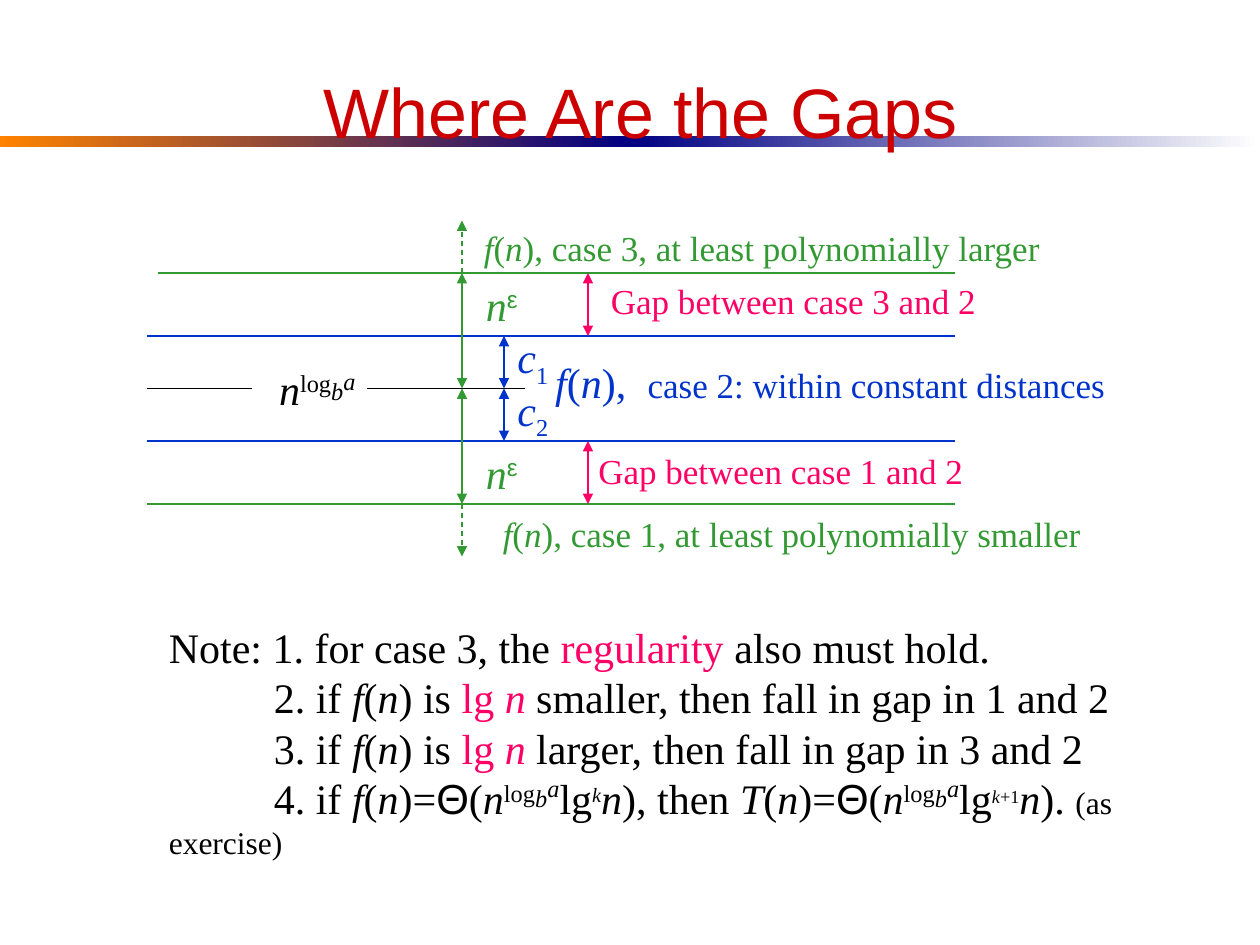
from lxml.etree import SubElement
from pptx import Presentation
from pptx.dml.color import RGBColor
from pptx.enum.dml import MSO_LINE
from pptx.enum.shapes import MSO_CONNECTOR, MSO_SHAPE
from pptx.enum.text import MSO_ANCHOR, PP_ALIGN
from pptx.oxml.ns import qn
from pptx.util import Inches, Pt

BLACK, RED, BLUE, GREEN, PINK = "000000", "CC0000", "0033CC", "339933", "FF0066"
NAVY, ORANGE, WHITE = "000082", "FF8200", "FFFFFF"
SERIF, SANS = "Times New Roman", "Arial"
IT = {"italic": True}
HOT = {"color": PINK}


def rgb(value):
    """Turn a hex string into a colour."""
    return RGBColor.from_string(value)


def cell(n):
    """Turn a count of grid cells, twelve to the inch, into a length."""
    return Inches(n / 12)


def lifted(base, size=24, italic=True):
    """Give the format of a run shifted by a percentage of its size."""
    return {"base": base, "size": size, "italic": italic}


def f_of_n(tail):
    """Give the runs of f(n) followed by plain text."""
    return [("f", IT), ("(", {}), ("n", IT), (")" + tail, {})]


def n_log(base):
    """Give the runs of n to the power of log b of a."""
    return [("n", IT), ("log", lifted(30, italic=False)),
            ("b", lifted(base)), ("a", lifted(base + 24 if base < 16 else 40))]


def theta(base):
    """Give the runs that open a Theta bound up to lg."""
    return [("Θ", {"name": SANS}), ("(", {}), *n_log(base), ("lg", {})]


class Deck:
    """Hold the style and the current slide."""

    def __init__(self):
        """Start a presentation with one title-only slide."""
        self.prs = Presentation()
        self.prs.slide_width, self.prs.slide_height = cell(120), cell(90)
        self.s = self.prs.slides.add_slide(self.prs.slide_layouts[5])

    def runs(self, p, runs, **style):
        """Add formatted runs to a paragraph."""
        for text, changes in runs:
            r = p.add_run()
            r.text = text
            form = {"name": SERIF, "size": 24, "color": BLACK, "italic": False, **style, **changes}
            r.font.color.rgb = rgb(form.pop("color"))
            base = form.pop("base", 0)
            form["size"] = Pt(form["size"])
            for key, value in form.items():
                setattr(r.font, key, value)
            if base:
                r.font._element.set("baseline", str(base * 1000))

    def title(self, text, x, y, w, h):
        """Place and fill the title."""
        sp = self.s.shapes.title
        place = {"left": x, "top": y, "width": w, "height": h}
        for key, value in place.items():
            setattr(sp, key, cell(value))
        tf = sp.text_frame
        tf.vertical_anchor = MSO_ANCHOR.MIDDLE
        p = tf.paragraphs[0]
        p.alignment = PP_ALIGN.CENTER
        self.runs(p, [(text, {})], name=SANS, size=40, color=RED)

    def bar(self, x, y, w, h, *colors):
        """Draw a horizontal gradient bar behind everything else."""
        sp = self.s.shapes.add_shape(MSO_SHAPE.RECTANGLE, cell(x), cell(y), cell(w), cell(h))
        sp.shadow.inherit = False
        sp.line.fill.background()
        sp.fill.gradient()
        sp.fill.gradient_angle = 0
        for stop, color in zip(sp.fill.gradient_stops, colors):
            stop.color.rgb = rgb(color)
        self.s.shapes._spTree.insert(2, sp._element)

    def line(self, x1, y1, x2, y2, color, ends=(), dash=None):
        """Draw a thin line with optional arrowheads."""
        sp = self.s.shapes.add_connector(
            MSO_CONNECTOR.STRAIGHT, cell(x1), cell(y1), cell(x2), cell(y2))
        sp.line.color.rgb = rgb(color)
        sp.line.width = Pt(0.75)
        if dash:
            sp.line.dash_style = dash
        for end in ends:
            SubElement(sp.line._get_or_add_ln(), qn(f"a:{end}"), type="triangle")
        SubElement(sp._element.spPr, qn("a:effectLst"))

    def text(self, x, y, w, h, paragraphs, wrap=False, indent=0, tab=None, **style):
        """Add a text box; later paragraphs take the first-line indent."""
        sp = self.s.shapes.add_textbox(cell(x), cell(y), cell(w), cell(h))
        tf = sp.text_frame
        tf.word_wrap = wrap
        for i, runs in enumerate(paragraphs):
            p = tf.paragraphs[0] if i == 0 else tf.add_paragraph()
            pPr = p._p.get_or_add_pPr()
            if i and indent:
                pPr.set("marL", "0")
                pPr.set("indent", str(cell(indent)))
            if tab:
                tabs = SubElement(pPr, qn("a:tabLst"))
                SubElement(tabs, qn("a:tab"), pos=str(cell(tab)), algn="l")
            self.runs(p, runs, **style)


def main():
    """Build the slide."""
    deck = Deck()
    both, tail = ("headEnd", "tailEnd"), ("tailEnd",)
    top, upper, middle, lower, bottom = 26, 32, 37, 42, 48
    right, axis, near, gap = 91, 44, 48, 56

    deck.bar(0, 13, 60, 1, ORANGE, NAVY)
    deck.bar(60, 13, 60, 1, NAVY, WHITE)
    deck.title("Where Are the Gaps", 10, 3, 102, 15)

    for x1, x2, y, color in [(15, right, top, GREEN), (14, right, upper, BLUE),
                             (14, 24, middle, BLACK), (35, 50, middle, BLACK),
                             (14, right, lower, BLUE), (14, right, bottom, GREEN)]:
        deck.line(x1, y, x2, y, color)
    for x, y1, y2, color in [(axis, top, middle, GREEN), (axis, middle, bottom, GREEN),
                             (near, upper, middle, BLUE), (near, middle, lower, BLUE),
                             (gap, top, upper, PINK), (gap, lower, bottom, PINK)]:
        deck.line(x, y1, x, y2, color, both)
    for y1, y2 in [(top, top - 5), (bottom, bottom + 5)]:
        deck.line(axis, y1, axis, y2, GREEN, tail, MSO_LINE.DASH)

    deck.text(25.4, 34, 9.7, 6, [n_log(12)])
    for y in (top, lower):
        deck.text(45.1, y, 5.4, 6, [[("n", IT), ("ε", {"name": SANS, "base": 30})]],
                  wrap=True, color=GREEN)
    for y, digit in [(31, "1"), (36, "2")]:
        deck.text(48.1, y, 5.3, 6.7, [[("c", IT), (digit, {"base": -25})]], color=BLUE)
    case_2 = f_of_n(",\t") + [("case 2: within constant distances", {"size": 20})]
    deck.text(51.7, 33.4, 56, 6, [case_2], wrap=True, tab=8.8, color=BLUE)
    for x, y, w, case, size in [(44.9, 21, 55.4, 3, "larger"), (46.7, 48.2, 57.5, 1, "smaller")]:
        deck.text(x, y, w, 5.3, [f_of_n(f", case {case}, at least polynomially {size}")],
                  size=20, color=GREEN)
    for x, y, case in [(57, 26, 3), (55.8, 42.2, 1)]:
        deck.text(x, y, 37.2, 5.3, [[(f"Gap between case {case} and 2", {})]],
                  size=20, color=PINK)

    notes = [[("Note: 1. for case 3, the ", {}), ("regularity ", HOT), ("also must hold.", {})]]
    for number, size, case in [(2, "smaller", 1), (3, "larger", 3)]:
        notes.append([(f"{number}. if ", {}), *f_of_n(" is "), ("lg ", HOT), ("n", {**IT, **HOT}),
                      (f" {size}, then fall in gap in {case} and 2", {})])
    notes.append([("4. if ", {}), *f_of_n("="), *theta(16), ("k", lifted(36, 20)), ("n", IT),
                  ("), then ", {}), ("T", IT), ("(", {}), ("n", IT), (")=", {}), *theta(18),
                  ("k", lifted(36, 18)), ("+1", lifted(36, 18, False)), ("n", IT),
                  ("). ", {}), ("(as exercise)", {"size": 18})])
    deck.text(14.9, 58.6, 103.4, 20.4, notes, wrap=True, indent=10)
    deck.prs.save("out.pptx")


if __name__ == "__main__":
    main()
